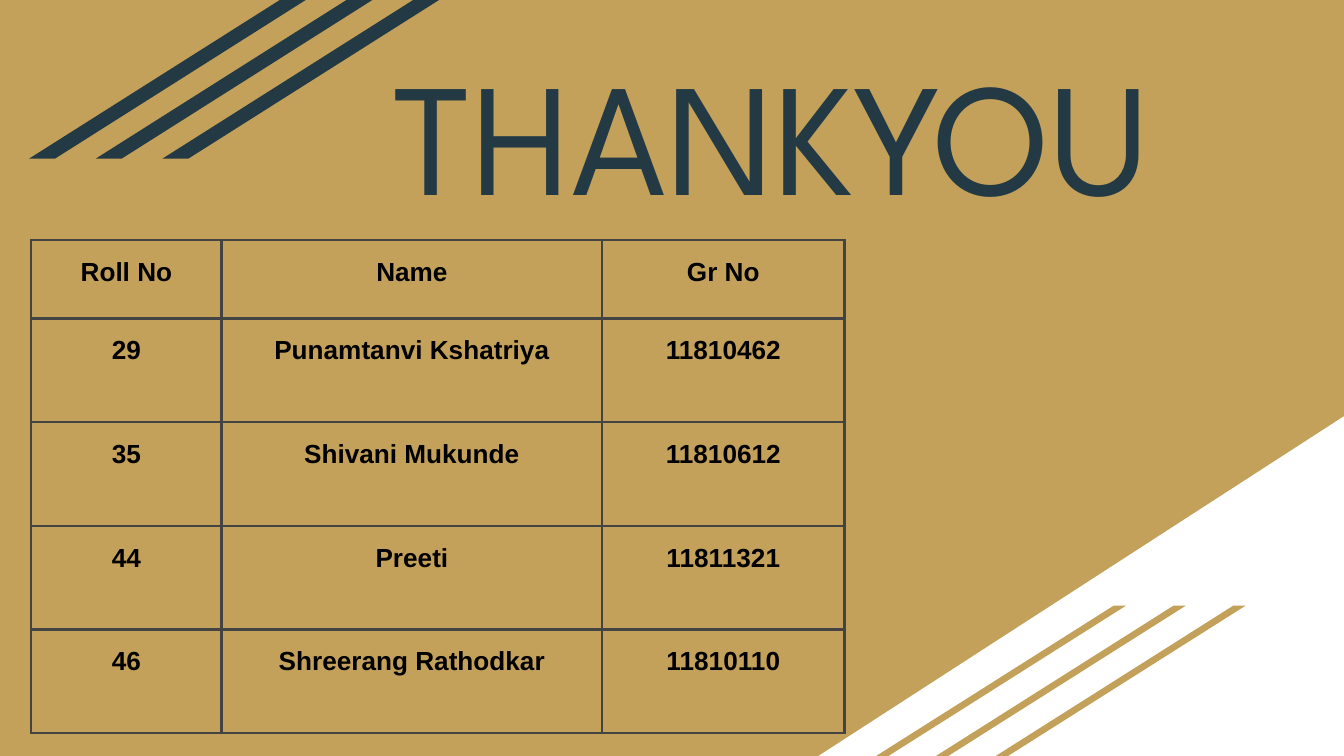
from dataclasses import dataclass

from lxml.etree import SubElement
from pptx import Presentation
from pptx.dml.color import RGBColor
from pptx.enum.shapes import MSO_SHAPE
from pptx.enum.text import MSO_ANCHOR, PP_ALIGN
from pptx.oxml.ns import qn
from pptx.util import Cm, Pt


@dataclass(frozen=True)
class Theme:
    """Colours, fonts and type sizes."""
    gold: str = "C4A15A"
    navy: str = "233A44"
    white: str = "FFFFFF"
    black: str = "000000"
    border: str = "434343"
    head: str = "League Spartan"
    body: str = "Arial"
    large: int = 86
    small: int = 14
    rule: float = 1.5
    inset: float = 0.25


class Deck:
    """Holds the theme and the current slide."""

    def __init__(self, theme, show):
        """Add a title slide with a plain ground."""
        self.theme = theme
        self.slide = show.slides.add_slide(show.slide_layouts[5])
        ground = self.slide.background.fill
        ground.solid()
        ground.fore_color.rgb = RGBColor.from_string(theme.gold)

    def shape(self, kind, box, color):
        """Add a plain filled shape."""
        shape = self.slide.shapes.add_shape(kind, *map(Cm, box))
        shape.shadow.inherit = False
        shape.fill.solid()
        shape.fill.fore_color.rgb = RGBColor.from_string(color)
        shape.line.fill.background()
        return shape

    def corner(self, box, color):
        """Add a right triangle with its square corner on the right."""
        shape = self.shape(MSO_SHAPE.RIGHT_TRIANGLE, box, color)
        shape._element.spPr.find(qn("a:xfrm")).set("flipH", "1")

    def stripes(self, box, step, color):
        """Add three slanted bars at equal steps."""
        left, top, width, height = box
        for i in range(3):
            place = (left + i * step, top, width, height)
            bar = self.shape(MSO_SHAPE.PARALLELOGRAM, place, color)
            bar.adjustments[0] = 1.58

    def pad(self, item):
        """Set equal insets on a frame or cell."""
        for side in ("left", "top", "right", "bottom"):
            setattr(item, f"margin_{side}", Cm(self.theme.inset))

    def style(self, line, font, size, color, bold=False):
        """Centre a paragraph and format its runs."""
        line.alignment = PP_ALIGN.CENTER
        for run in line.runs:
            run.font.name = font
            run.font.size = Pt(size)
            run.font.bold = bold
            run.font.color.rgb = RGBColor.from_string(color)

    def title(self, text, box):
        """Fill and place the title."""
        title = self.slide.shapes.title
        title.left, title.top, title.width, title.height = map(Cm, box)
        frame = title.text_frame
        frame.text = text
        frame.word_wrap = True
        frame.vertical_anchor = MSO_ANCHOR.MIDDLE
        self.pad(frame)
        self.style(frame.paragraphs[0], self.theme.head, self.theme.large, self.theme.navy)

    def frame(self, cell):
        """Draw all four borders of a cell."""
        props = cell._tc.get_or_add_tcPr()
        for i, side in enumerate(("lnL", "lnR", "lnT", "lnB")):
            line = props.makeelement(qn(f"a:{side}"), {"w": str(Pt(self.theme.rule))})
            fill = SubElement(line, qn("a:solidFill"))
            SubElement(fill, qn("a:srgbClr"), val=self.theme.border)
            props.insert(i, line)

    def table(self, rows, spot, widths, heights):
        """Add a clear table with ruled cells."""
        size = (sum(widths), sum(heights))
        table = self.slide.shapes.add_table(
            len(rows), len(widths), *map(Cm, spot + size)).table
        table.first_row = table.horz_banding = False
        for col, width in zip(table.columns, widths):
            col.width = Cm(width)
        for row, height, texts in zip(table.rows, heights, rows):
            row.height = Cm(height)
            for cell, text in zip(row.cells, texts):
                cell.text_frame.text = text
                cell.fill.background()
                self.pad(cell)
                line = cell.text_frame.paragraphs[0]
                line.line_spacing = 1.15
                self.style(line, self.theme.body, self.theme.small, self.theme.black, True)
                self.frame(cell)


def main():
    """Build and save the slide."""
    show = Presentation()
    show.slide_width, show.slide_height = Cm(25.4), Cm(14.29)
    theme = Theme()
    deck = Deck(theme, show)
    deck.corner((15.47, 7.87, 9.93, 6.42), theme.white)
    deck.stripes((16.56, 11.45, 4.72, 2.84), 1.13, theme.gold)
    deck.stripes((0.55, 0, 5.23, 3), 1.26, theme.navy)
    deck.title("THANKYOU", (5.74, 0.56, 17.7, 3.84))
    rows = [
        ("Roll No", "Name", "Gr No"),
        ("29", "Punamtanvi Kshatriya", "11810462"),
        ("35", "Shivani Mukunde", "11810612"),
        ("44", "Preeti", "11811321"),
        ("46", "Shreerang Rathodkar", "11810110"),
    ]
    deck.table(rows, (0.59, 4.54), (3.6, 7.19, 4.58), (1.48,) + (1.96,) * 4)
    show.save("out.pptx")


if __name__ == "__main__":
    main()
